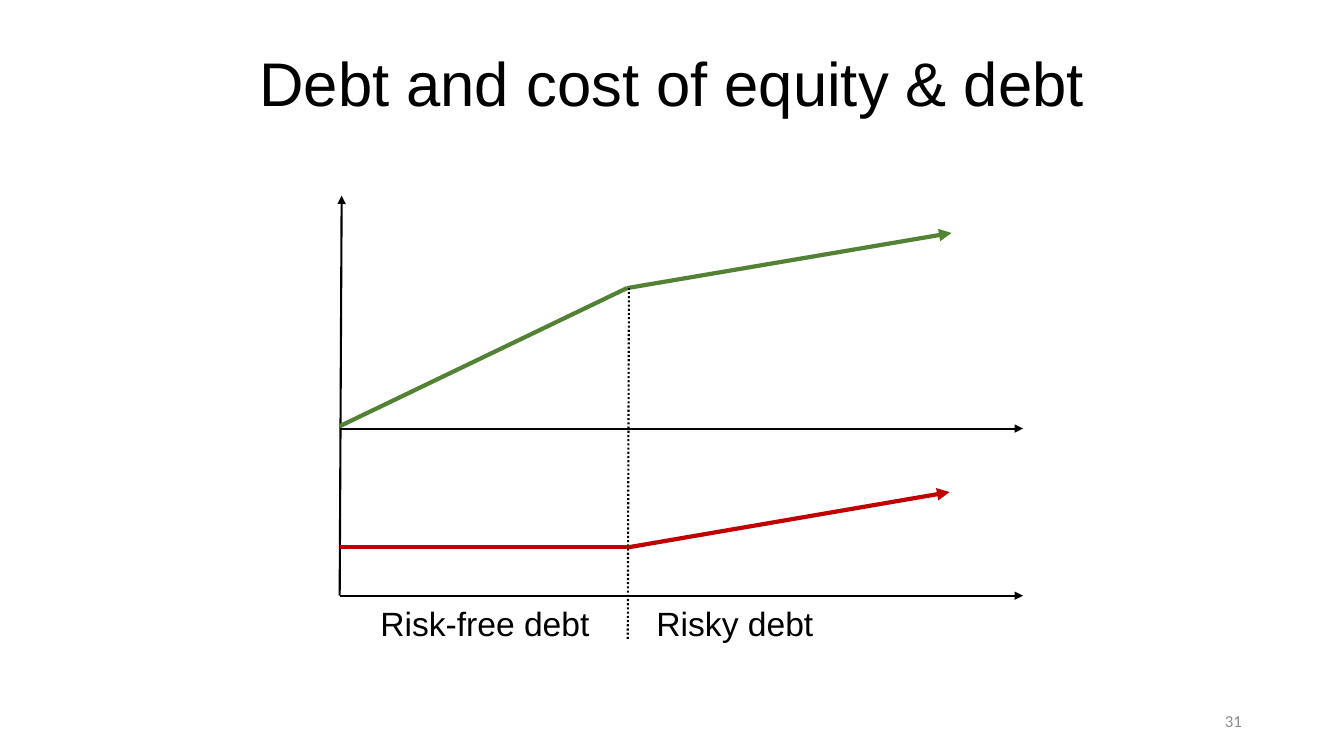
import pptx
import pptx.dml.color
import pptx.enum.dml
import pptx.enum.shapes
import pptx.enum.text
import pptx.oxml
import pptx.oxml.ns
import pptx.util
from pptx.util import Cm

COLOURS = {"ink": "000000", "equity": "548235", "debt": "C00000", "page": "8C8C8C"}
ALIGN = pptx.enum.text.PP_ALIGN
ANCHOR = pptx.enum.text.MSO_ANCHOR


def write(shape, text, size, font="Arial", colour="ink", align=ALIGN.CENTER,
          anchor=ANCHOR.TOP, spacing=1.0):
    frame = shape.text_frame
    frame.word_wrap = True
    frame.auto_size = pptx.enum.text.MSO_AUTO_SIZE.NONE
    frame.vertical_anchor = anchor
    paragraph = frame.paragraphs[0]
    paragraph.text = text
    paragraph.alignment = align
    paragraph.line_spacing = spacing
    paragraph.font.size = pptx.util.Pt(size)
    paragraph.font.name = font
    paragraph.font.color.rgb = pptx.dml.color.RGBColor.from_string(COLOURS[colour])


def draw_line(start, end, colour="ink", width=1.5, arrow=False, dotted=False):
    connector = slide.shapes.add_connector(
        pptx.enum.shapes.MSO_CONNECTOR.STRAIGHT, *map(Cm, start + end))
    connector.line.color.rgb = pptx.dml.color.RGBColor.from_string(COLOURS[colour])
    connector.line.width = pptx.util.Pt(width)
    if dotted:
        connector.line.dash_style = pptx.enum.dml.MSO_LINE.ROUND_DOT
    namespace = pptx.oxml.ns.nsdecls("a")
    if arrow:
        connector.line._get_or_add_ln().append(
            pptx.oxml.parse_xml(f'<a:tailEnd {namespace} type="triangle"/>'))
    connector._element.spPr.append(pptx.oxml.parse_xml(f"<a:effectLst {namespace}/>"))


presentation = pptx.Presentation()
presentation.slide_width = Cm(33.87)
presentation.slide_height = Cm(19.05)
slide = presentation.slides.add_slide(presentation.slide_layouts[5])

title = slide.shapes.title
title.left, title.top, title.width, title.height = map(Cm, (2.34, 1.02, 29.21, 2.31))
write(title, "Debt and cost of equity & debt", 44, anchor=ANCHOR.MIDDLE, spacing=0.9)

page_number = slide.shapes.add_textbox(*map(Cm, (23.93, 17.65, 7.62, 1.02)))
write(page_number, "31", 12, font="Calibri", colour="page", align=ALIGN.RIGHT,
      anchor=ANCHOR.MIDDLE)

# Axes
axis_left, axis_right = 8.56, 25.78
debt_axis, equity_axis = 15.01, 10.8
draw_line((axis_left, debt_axis), (axis_right, debt_axis), arrow=True)
draw_line((axis_left, debt_axis), (8.61, 4.93), arrow=True)
draw_line((axis_left, equity_axis), (axis_right, equity_axis), arrow=True)

# Cost curves, each bending where debt becomes risky
equity_kink, debt_kink = (15.8, 7.26), (15.84, 13.79)
draw_line((axis_left, 10.74), equity_kink, "equity", 3)
draw_line(equity_kink, (23.98, 5.87), "equity", 3, arrow=True)
draw_line((axis_left, 13.79), debt_kink, "debt", 3)
draw_line((15.82, 16.1), (15.85, 7.26), dotted=True)
draw_line(debt_kink, (23.93, 12.4), "debt", 3, arrow=True)

for region, left in (("Risk-free debt", 8.46), ("Risky debt", 14.76)):
    label = slide.shapes.add_textbox(Cm(left), Cm(15.06), Cm(7.52), Cm(1.27))
    write(label, region, 24)

presentation.save("out.pptx")
